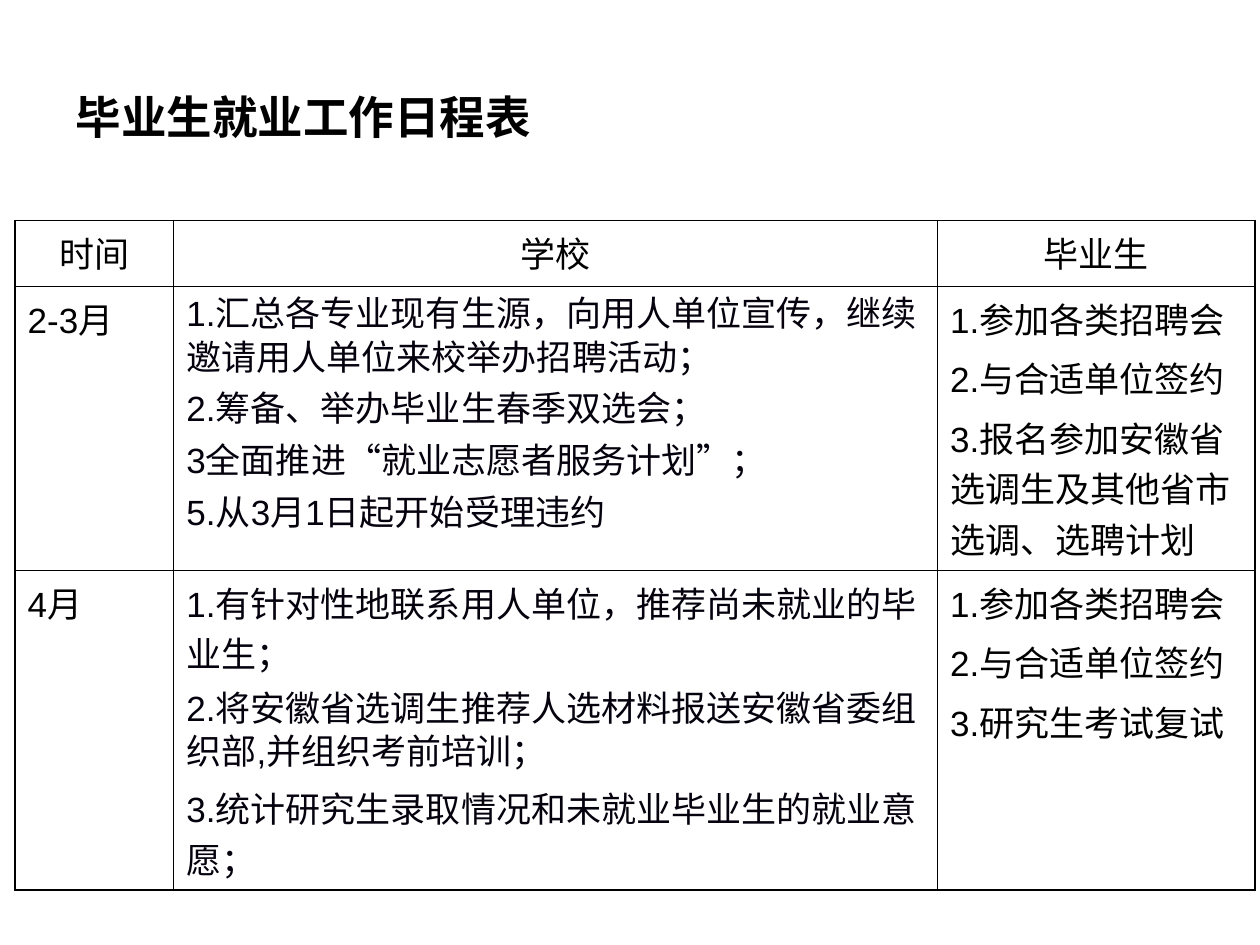
from dataclasses import dataclass

from pptx import Presentation
from pptx.dml.color import RGBColor
from pptx.enum import text
from pptx.oxml import parse_xml
from pptx.oxml import ns
from pptx.util import Pt


@dataclass(frozen=True)
class Theme:
    font: str = "Arial"
    black: str = "000000"
    school_ink: str = "05020E"
    title_size: float = 26
    body_size: float = 20
    outer_line: float = 1.08
    inner_line: float = 0.45
    para_gap: float = 5
    tight: float = 0.85


THEME = Theme()
TITLE = "毕业生就业工作日程表"
HEADERS = ["时间", "学校", "毕业生"]
COMMON_TASKS = ["1.参加各类招聘会", "2.与合适单位签约"]
ROWS = [
    [
        ["2-3月"],
        [
            "1.汇总各专业现有生源，向用人单位宣传，继续邀请用人单位来校举办招聘活动；",
            "2.筹备、举办毕业生春季双选会；",
            "3全面推进“就业志愿者服务计划”；",
            "5.从3月1日起开始受理违约",
        ],
        COMMON_TASKS + ["3.报名参加安徽省选调生及其他省市选调、选聘计划"],
    ],
    [
        ["4月"],
        [
            "1.有针对性地联系用人单位，推荐尚未就业的毕业生；",
            "2.将安徽省选调生推荐人选材料报送安徽省委组织部,并组织考前培训；",
            "3.统计研究生录取情况和未就业毕业生的就业意愿；",
        ],
        COMMON_TASKS + ["3.研究生考试复试"],
    ],
]
TIGHT_LINES = set(ROWS[0][1]) | {ROWS[1][1][1]}
COL_SHARES = [0.128, 0.616, 0.256]
ROW_SHARES = [0.106, 0.458, 0.436]


def style_font(font, size, color, bold=False):
    font.name = THEME.font
    font.size = Pt(size)
    font.bold = bold
    font.color.rgb = RGBColor.from_string(color)


def add_title(s, left, top, width, height):
    sp = s.shapes.title
    sp.left, sp.top, sp.width, sp.height = Pt(left), Pt(top), Pt(width), Pt(height)
    tf = sp.text_frame
    tf.text = TITLE
    tf.vertical_anchor = text.MSO_ANCHOR.MIDDLE
    p = tf.paragraphs[0]
    p.alignment = text.PP_ALIGN.LEFT
    style_font(p.runs[0].font, THEME.title_size, THEME.black, bold=True)


def set_borders(cell, outer_sides):
    tc_pr = cell._tc.get_or_add_tcPr()
    for side in "LRTB":
        line = THEME.outer_line if side in outer_sides else THEME.inner_line
        tc_pr.append(parse_xml(
            f'<a:ln{side} {ns.nsdecls("a")} w="{Pt(line)}"><a:solidFill>'
            f'<a:srgbClr val="{THEME.black}"/></a:solidFill></a:ln{side}>'
        ))


def fill_cell(cell, lines, color, align):
    tf = cell.text_frame
    tf.text = "\n".join(lines)
    for i, p in enumerate(tf.paragraphs):
        p.alignment = align
        p.space_before = Pt(THEME.para_gap if i else 0)
        if p.text in TIGHT_LINES:
            p.line_spacing = THEME.tight
        style_font(p.runs[0].font, THEME.body_size, color)


def add_schedule(s, left, top, width, height):
    rows = [[[header] for header in HEADERS]] + ROWS
    table = s.shapes.add_table(
        len(rows), len(HEADERS), Pt(left), Pt(top), Pt(width), Pt(height)
    ).table
    table.first_row = table.horz_banding = False
    for col, share in zip(table.columns, COL_SHARES):
        col.width = Pt(width * share)
    for row, share in zip(table.rows, ROW_SHARES):
        row.height = Pt(height * share)
    last_row, last_col = len(rows) - 1, len(HEADERS) - 1
    for r, row in enumerate(rows):
        for c, lines in enumerate(row):
            cell = table.cell(r, c)
            edges = {"L": c == 0, "R": c == last_col, "T": r == 0, "B": r == last_row}
            set_borders(cell, {side for side, outer in edges.items() if outer})
            cell.fill.background()
            color = THEME.school_ink if r and c == 1 else THEME.black
            align = text.PP_ALIGN.LEFT if r else text.PP_ALIGN.CENTER
            fill_cell(cell, lines, color, align)


def main():
    prs = Presentation()
    prs.slide_width, prs.slide_height = Pt(720), Pt(540)
    s = prs.slides.add_slide(prs.slide_layouts[5])
    add_title(s, 36, 21.6, 648, 90)
    add_schedule(s, 8.64, 126, 708.48, 353.52)
    prs.save("out.pptx")


if __name__ == "__main__":
    main()
